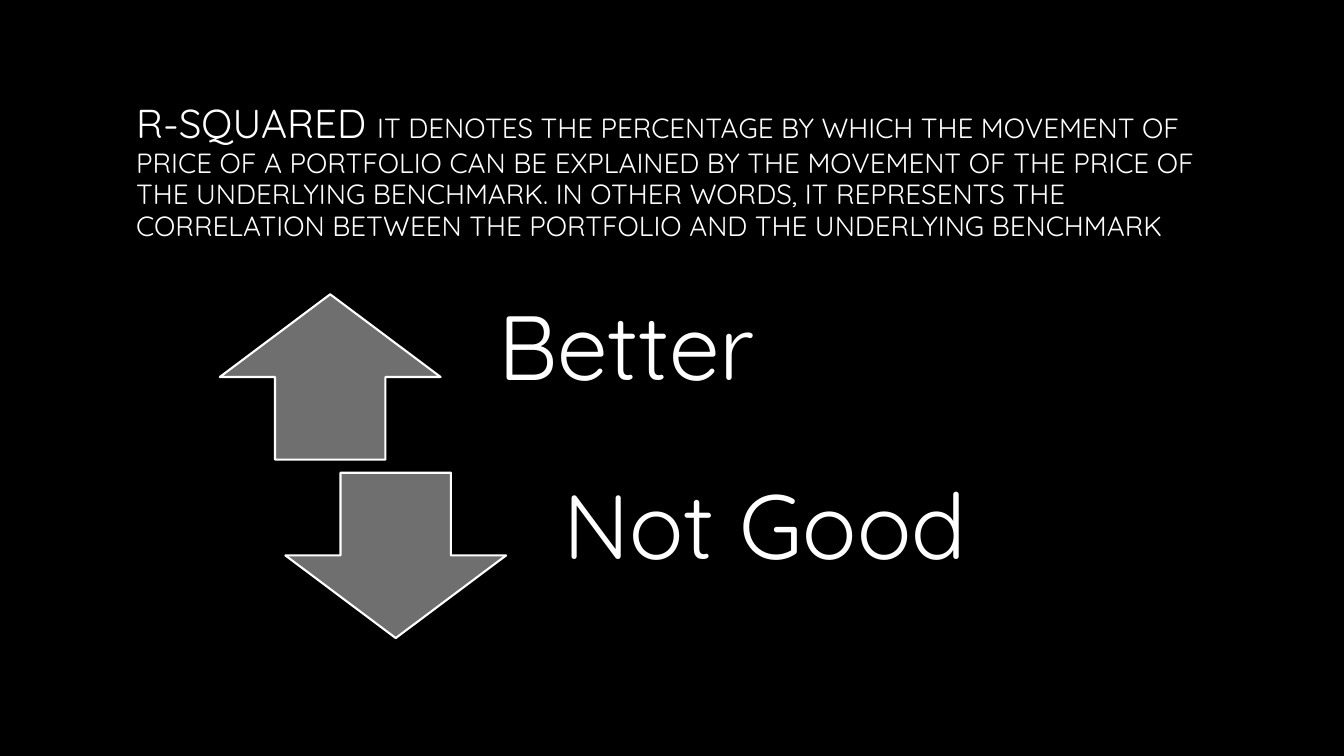
from pptx import Presentation
from pptx import util as u
from pptx.dml.color import RGBColor
from pptx.enum import shapes, text

FONT = "Quicksand"
COLORS = {"back": "000000", "ink": "FFFFFF", "arrow": "6F6F6F"}
HUES = {name: RGBColor.from_string(code) for name, code in COLORS.items()}


def style(run, size):
    run.font.name = FONT
    run.font.size = u.Pt(size)
    run.font.color.rgb = HUES["ink"]


# Slide and background
deck = Presentation()
deck.slide_width, deck.slide_height = u.Inches(13.33), u.Inches(7.5)
slide = deck.slides.add_slide(deck.slide_layouts[5])
slide.background.fill.solid()
slide.background.fill.fore_color.rgb = HUES["back"]

# Title: term followed by its definition
title = slide.shapes.title
title.left, title.top = u.Inches(1.25), u.Inches(0.67)
title.width, title.height = u.Inches(10.83), u.Inches(2.08)
frame = title.text_frame
frame.word_wrap = True
frame.auto_size = text.MSO_AUTO_SIZE.NONE
frame.vertical_anchor = text.MSO_ANCHOR.MIDDLE
para = frame.paragraphs[0]
para.alignment = text.PP_ALIGN.LEFT
para.line_spacing = 0.95
for words, size in [
    ("R-SQUARED ", 28.8),
    ("IT DENOTES THE PERCENTAGE BY WHICH THE MOVEMENT OF PRICE OF A PORTFOLIO "
     "CAN BE EXPLAINED BY THE MOVEMENT OF THE PRICE OF THE UNDERLYING BENCHMARK. "
     "IN OTHER WORDS, IT REPRESENTS THE CORRELATION BETWEEN THE PORTFOLIO AND "
     "THE UNDERLYING BENCHMARK", 19.8),
]:
    run = para.add_run()
    run.text = words
    style(run, size)

# Arrows with their labels
group = slide.shapes.add_group_shape()
high = u.Inches(1.64)
for kind, left, top, words in [
    (shapes.MSO_SHAPE.UP_ARROW, 2.18, 2.92, "Better"),
    (shapes.MSO_SHAPE.DOWN_ARROW, 2.83, 4.69, "Not Good"),
]:
    arrow = group.shapes.add_shape(
        kind, u.Inches(left), u.Inches(top), u.Inches(2.19), high)
    arrow.shadow.inherit = False
    arrow.fill.solid()
    arrow.fill.fore_color.rgb = HUES["arrow"]
    arrow.line.color.rgb = HUES["ink"]
    arrow.line.width = u.Pt(1.5)

    label = group.shapes.add_textbox(
        u.Inches(left + 2.25), u.Inches(top), u.Inches(6.07), high)
    frame = label.text_frame
    frame.word_wrap = True
    frame.vertical_anchor = text.MSO_ANCHOR.MIDDLE
    frame.margin_left = frame.margin_right = frame.margin_bottom = u.Inches(0.51)
    frame.margin_top = 0
    frame.text = words
    para = frame.paragraphs[0]
    para.line_spacing = 0.9
    style(para.runs[0], 65)

deck.save("out.pptx")
